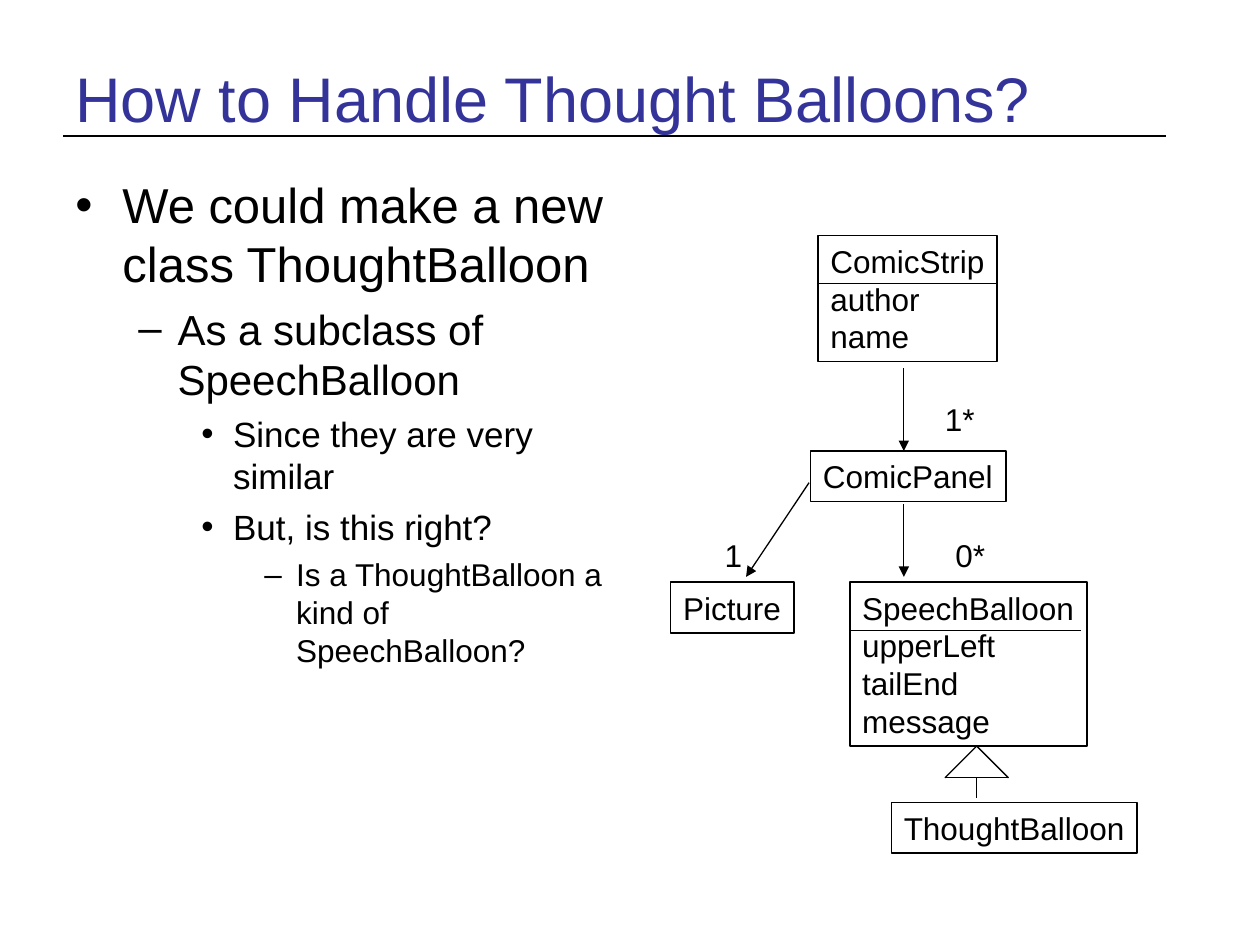
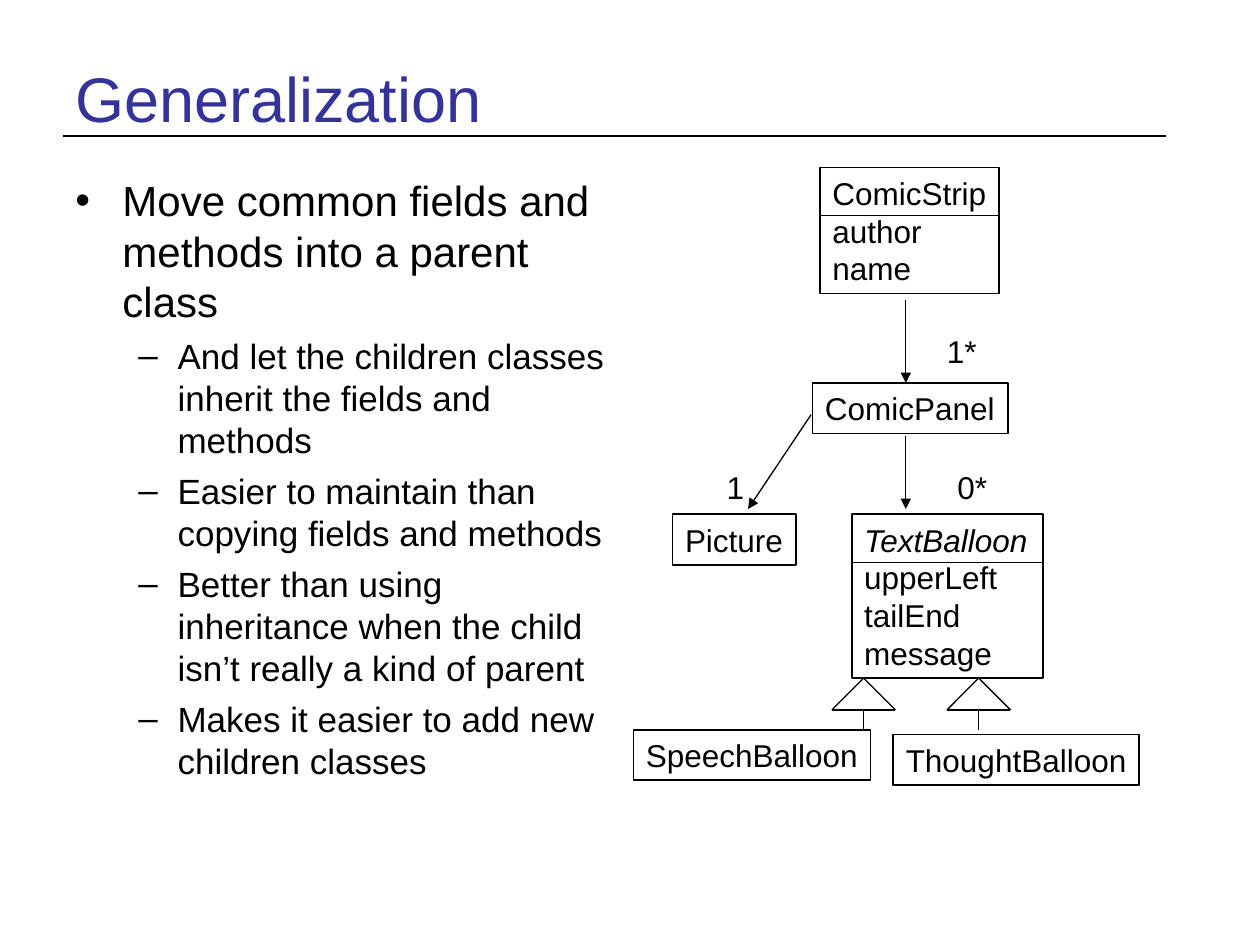
from lxml import etree
from pptx import Presentation
from pptx import util as u
from pptx.dml import color
from pptx.enum import shapes, text
from pptx.oxml import ns

INK = "000000"
TITLE_BLUE = "333399"
FONT = "Arial"
TITLE_BOX = (1.27, 0.76, 22.86, 2.41)
BODY_BOX = (1.27, 3.4, 11.23, 13.64)
ROW = 1.02      # height of a one-line class box or label
HEADER = 0.97   # from the top of a class box to its dividing line

# Per outline level: bullet, left margin and hanging indent in cm
LEVELS = [("•", 0.95, 0.95), ("–", 2.06, 0.79), ("•", 3.18, 0.64), ("–", 4.45, 0.64)]


def rgb(value):
    return color.RGBColor.from_string(value)


def add_span(para, words, size, ink=INK, **formats):
    span = para.add_run()
    span.text = words
    for name, value in {"name": FONT, "size": u.Pt(size), **formats}.items():
        setattr(span.font, name, value)
    span.font.color.rgb = rgb(ink)


def set_frame(box, **formats):
    frame = box.text_frame
    for name, value in formats.items():
        setattr(frame, name, value)
    return frame


def add_line(page, start, end, width=0.75, arrow=False):
    line = page.shapes.add_connector(
        shapes.MSO_CONNECTOR.STRAIGHT, *(u.Cm(n) for n in (*start, *end)))
    line.line.width = u.Pt(width)
    line.line.color.rgb = rgb(INK)
    if arrow:
        etree.SubElement(line.line._get_or_add_ln(), ns.qn("a:tailEnd"), type="triangle")
    etree.SubElement(line._element.spPr, ns.qn("a:effectLst"))


def add_text_box(page, box):
    return page.shapes.add_textbox(*map(u.Cm, box))


# Title with the rule beneath it
def add_title(page, box, words):
    frame = set_frame(add_text_box(page, box), word_wrap=True,
                      vertical_anchor=text.MSO_ANCHOR.MIDDLE)
    add_span(frame.paragraphs[0], words, 36, TITLE_BLUE)
    left, top = box[:2]
    add_line(page, (left, top + 1.98), (left + 22.23, top + 1.98), 1.5)


# Bulleted outline: items are (level, size, words)
def add_outline(page, box, items):
    frame = set_frame(add_text_box(page, box), word_wrap=True)
    for index, (level, size, words) in enumerate(items):
        para = frame.add_paragraph() if index else frame.paragraphs[0]
        bullet, margin, hanging = LEVELS[level]
        props = para._p.get_or_add_pPr()
        props.set("marL", str(u.Cm(margin)))
        props.set("indent", str(-u.Cm(hanging)))
        etree.SubElement(props, ns.qn("a:buFont"), typeface=FONT)
        etree.SubElement(props, ns.qn("a:buChar"), char=bullet)
        para.space_before = u.Pt(size / 4 if index else 0)
        add_span(para, words, size)


# Class box, with a dividing line when it has fields
def add_class(page, left, top, width, name, fields=(), italic=False, rule=None):
    height = ROW if not fields else HEADER + 0.05 + 0.76 * len(fields)
    box = page.shapes.add_shape(shapes.MSO_SHAPE.RECTANGLE,
                                *map(u.Cm, (left, top, width, height)))
    box.shadow.inherit = False
    box.fill.background()
    box.line.color.rgb = rgb(INK)
    box.line.width = u.Pt(1)
    frame = set_frame(box, word_wrap=False, vertical_anchor=text.MSO_ANCHOR.TOP,
                      auto_size=text.MSO_AUTO_SIZE.SHAPE_TO_FIT_TEXT)
    for index, words in enumerate((name, *fields)):
        para = frame.add_paragraph() if index else frame.paragraphs[0]
        para.alignment = text.PP_ALIGN.LEFT
        add_span(para, words, 18, italic=italic and index == 0)
    if fields:
        add_line(page, (left + 0.03, top + HEADER),
                 (left + (rule or width), top + HEADER))


def add_label(page, left, top, width, words):
    frame = set_frame(add_text_box(page, (left, top, width, ROW)), word_wrap=False)
    add_span(frame.paragraphs[0], words, 18)


# Hollow inheritance arrow, pointing up at the parent class
def add_inheritance(page, x, y):
    side = 0.64
    tip, base = (x, y), (x, y + side)
    left, right = (x - side, y + side), (x + side, y + side)
    for start, end in ((tip, left), (tip, right), (right, left), (base, (x, y + 1.04))):
        add_line(page, start, end)


# Class diagram: balloon describes the class below the panel,
# children are (left, top, width, name, arrow x)
def add_diagram(page, origin, balloon, children):
    x, y = origin
    add_class(page, x + 2.97, y, 3.61, "ComicStrip", ("author", "name"))
    add_class(page, x + 2.82, y + 4.34, 3.94, "ComicPanel")
    add_class(page, x, y + 6.99, 2.49, "Picture")
    add_class(page, x + 3.61, y + 6.99,
              fields=("upperLeft", "tailEnd", "message"), **balloon)

    for start_x, start_y, end_x, end_y in ((4.7, 2.67, 4.7, 4.34),
                                           (4.7, 5.41, 4.7, 6.88),
                                           (2.79, 4.98, 1.52, 6.88)):
        add_line(page, (x + start_x, y + start_y), (x + end_x, y + end_y), arrow=True)
    # Multiplicities, in boxes a little wider than their text
    for left, top, width, words in ((5.28, 3.18, 1.2, "1*"),
                                    (5.49, 5.94, 1.2, "0*"),
                                    (0.84, 5.94, 0.9, "1")):
        add_label(page, x + left, y + top, width, words)

    for left, top, width, name, arrow_x in children:
        add_class(page, x + left, y + top, width, name)
        add_inheritance(page, x + arrow_x, y + 10.29)


def add_page(deck, title, outline, origin, balloon, children):
    page = deck.slides.add_slide(deck.slide_layouts[6])
    add_title(page, TITLE_BOX, title)
    add_outline(page, BODY_BOX, outline)
    add_diagram(page, origin, balloon, children)


def main():
    deck = Presentation()
    deck.slide_width, deck.slide_height = u.Cm(25.4), u.Cm(19.05)
    thought = (4.45, 11.43, 4.95, "ThoughtBalloon", 6.17)
    speech = (-0.79, 11.33, 4.78, "SpeechBalloon", 3.85)

    add_page(deck, "How to Handle Thought Balloons?", [
        (0, 28, "We could make a new class ThoughtBalloon"),
        (1, 24, "As a subclass of SpeechBalloon"),
        (2, 20, "Since they are very similar"),
        (2, 20, "But, is this right?"),
        (3, 18, "Is a ThoughtBalloon a kind of SpeechBalloon?"),
    ], (13.52, 4.75), {"width": 4.78, "name": "SpeechBalloon", "rule": 4.67}, [thought])

    add_page(deck, "Generalization", [
        (0, 24, "Move common fields and methods into a parent class"),
        (1, 20, "And let the children classes inherit the fields and methods"),
        (1, 20, "Easier to maintain than copying fields and methods"),
        (1, 20, "Better than using inheritance when the child isn’t really a kind of parent"),
        (1, 20, "Makes it easier to add new children classes"),
    ], (13.56, 3.38), {"width": 3.86, "name": "TextBalloon", "italic": True},
        [thought, speech])

    deck.save("out.pptx")


if __name__ == "__main__":
    main()
